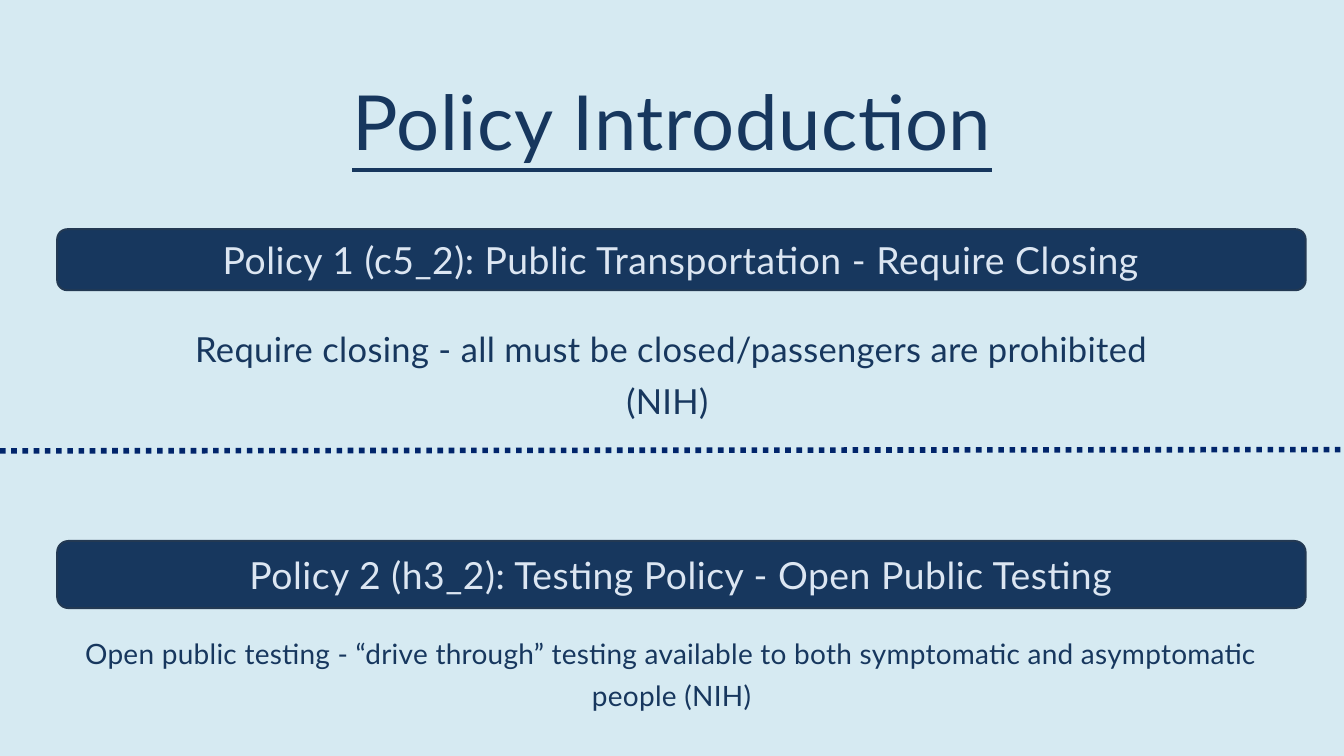
from pptx import Presentation
from pptx.dml.color import RGBColor
from pptx.enum.dml import MSO_LINE_DASH_STYLE as Dash
from pptx.enum.shapes import MSO_CONNECTOR as Conn, MSO_SHAPE as Shape
from pptx.enum.text import MSO_ANCHOR as Anchor, PP_ALIGN as Align
from pptx.oxml.ns import qn
from pptx.util import Inches, Pt
from lxml import etree

PALE = RGBColor(0xD6, 0xEA, 0xF2)
NAVY = RGBColor(0x17, 0x37, 0x5E)
EDGE = RGBColor(0x23, 0x39, 0x53)
RULE = RGBColor(0x01, 0x25, 0x6B)
LIGHT = RGBColor(0xDC, 0xE6, 0xF2)
FONT = "Lato"


def write(frame, text, size, color, gap, lead=None):
    """Fill a frame with one centred paragraph; gap is letter spacing in points."""
    frame.word_wrap = True
    frame.text = text
    para = frame.paragraphs[0]
    para.alignment = Align.CENTER
    if lead:
        para.line_spacing = Pt(lead)
    run = para.runs[0]
    font = run.font
    font.name, font.size = FONT, Pt(size)
    font.color.rgb = color
    font._element.set("spc", str(round(gap * 100)))
    return font


def add_text(slide, box, text, size, gap, lead):
    frame = slide.shapes.add_textbox(*map(Inches, box)).text_frame
    frame.margin_left = frame.margin_right = 0
    frame.margin_top = frame.margin_bottom = 0
    return write(frame, text, size, NAVY, gap, lead)


def add_title(slide, box, text):
    add_text(slide, box, text, 81.4, 0.8, 122.1).underline = True


def add_bar(slide, box, text):
    bar = slide.shapes.add_shape(Shape.ROUNDED_RECTANGLE, *map(Inches, box))
    bar.shadow.inherit = False
    bar.fill.solid()
    bar.fill.fore_color.rgb = NAVY
    bar.line.color.rgb = EDGE
    bar.line.width = Pt(2)
    bar.text_frame.vertical_anchor = Anchor.MIDDLE
    write(bar.text_frame, text, 40, LIGHT, 0.6)


def add_policy(slide, box, head, body, bar_h, drop, inset, size, gap):
    """Heading bar at the top of the box, description below it."""
    left, top, width, height = box
    add_bar(slide, (left, top, width, bar_h), head)
    note = (left + inset[0], top + drop, width - sum(inset), height - drop)
    add_text(slide, note, body, size, gap, size * 1.5)


def add_rule(slide, start, end):
    line = slide.shapes.add_connector(
        Conn.STRAIGHT, *map(Inches, start), *map(Inches, end))
    line.line.color.rgb = RULE
    line.line.width = Pt(6)
    line.line.dash_style = Dash.ROUND_DOT
    etree.SubElement(line._element.spPr, qn("a:effectLst"))


def main():
    deck = Presentation()
    deck.slide_width, deck.slide_height = Inches(20), Inches(11.25)
    slide = deck.slides.add_slide(deck.slide_layouts[6])
    slide.background.fill.solid()
    slide.background.fill.fore_color.rgb = PALE

    # Title
    add_title(slide, (2.77, 0.77, 14.47, 1.61), "Policy Introduction")

    # Policies, above and below the dotted rule
    add_policy(
        slide, (0.85, 3.41, 18.58, 2.86),
        "Policy 1 (c5_2): Public Transportation - Require Closing",
        "Require closing - all must be closed/passengers are prohibited (NIH) ",
        bar_h=0.91, drop=1.32, inset=(1.8, 2.08), size=37, gap=0.4)
    add_rule(slide, (0, 6.71), (20, 6.69))
    add_policy(
        slide, (0.85, 8.05, 18.58, 2.55),
        "Policy 2 (h3_2): Testing Policy - Open Public Testing",
        "Open public testing - “drive through” testing available to both "
        "symptomatic and asymptomatic people (NIH)",
        bar_h=1, drop=1.3, inset=(-0.1, 0.19), size=30, gap=0.3)

    deck.save("out.pptx")


if __name__ == "__main__":
    main()
